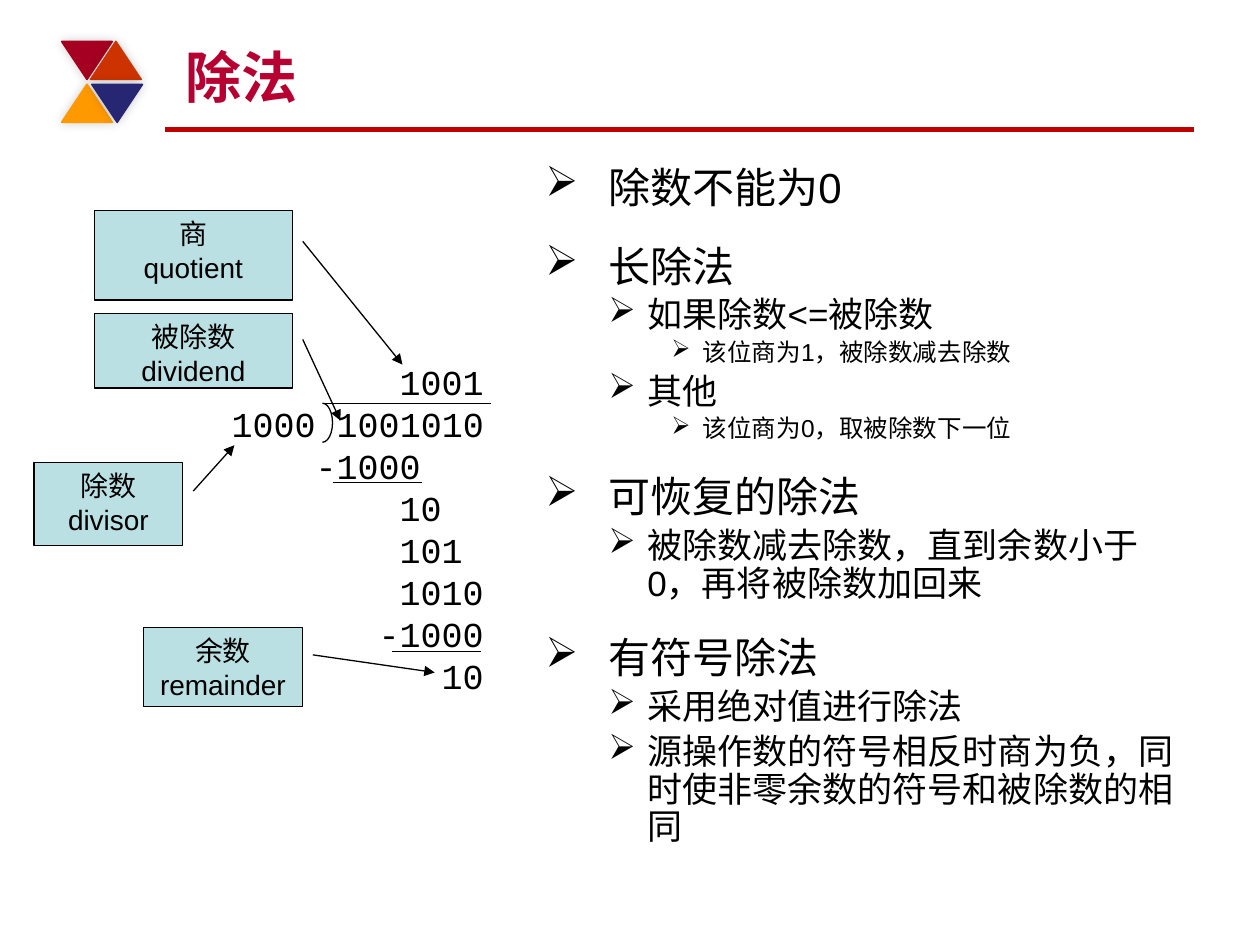
from lxml import etree
from pptx import Presentation
from pptx.dml.color import RGBColor
from pptx.enum.shapes import MSO_CONNECTOR, MSO_SHAPE
from pptx.enum.text import MSO_ANCHOR, MSO_AUTO_SIZE, PP_ALIGN
from pptx.oxml.ns import qn
from pptx.util import Inches, Pt

STRAIGHT = MSO_CONNECTOR.STRAIGHT
TRIANGLE, CALLOUT, ARC = MSO_SHAPE.ISOSCELES_TRIANGLE, MSO_SHAPE.LINE_CALLOUT_1, MSO_SHAPE.ARC
LEFT, CENTER = PP_ALIGN.LEFT, PP_ALIGN.CENTER
TOP, BOTTOM = MSO_ANCHOR.TOP, MSO_ANCHOR.BOTTOM
NO_FIT = MSO_AUTO_SIZE.NONE

COLORS = {"ink": "000000", "title": "B70031", "rule": "C00000", "label": "BBE0E3",
          "crimson": "A50021", "orange": "CC3300", "amber": "FF9900", "navy": "262673"}
COLUMNS, ROWS = 100, 75
DIGIT_WIDTH = 12
LEVELS = [(24, 0.5, -0.5, Pt(40)), (20, 0.81, -0.31, 0.9), (14, 1.25, -0.25, 0.9)]

TRIANGLES = [(4.9, 3.3, 180, "crimson"), (7.2, 3.3, 0, "orange"),
             (4.9, 6.7, 0, "amber"), (7.3, 6.7, 180, "navy")]
POINTS = [
    (0, "除数不能为0"),
    (0, "长除法"),
    (1, "如果除数<=被除数"),
    (2, "该位商为1，被除数减去除数"),
    (1, "其他"),
    (2, "该位商为0，取被除数下一位"),
    (0, "可恢复的除法"),
    (1, "被除数减去除数，直到余数小于0，再将被除数加回来"),
    (0, "有符号除法"),
    (1, "采用绝对值进行除法"),
    (1, "源操作数的符号相反时商为负，同时使非零余数的符号和被除数的相同"),
]
DIVISION = [(8, "1001"), (0, "1000 1001010"), (4, "-1000"), (8, "10"),
            (8, "101"), (8, "1010"), (7, "-1000"), (10, "10")]
LABELS = [
    ((7.5, 16.7, 15.7, 7.1), (0.346, 1.053, 1.724, 1.557), ("商", "quotient")),
    ((7.5, 24.9, 15.7, 5.9), (0.346, 1.053, 1.435, 1.243), ("被除数", "dividend")),
    ((11.4, 49.8, 12.6, 6.3), (0.346, 1.066, 0.568, 1.834), ("余数", "remainder")),
    ((2.7, 36.7, 11.8, 6.6), (0.346, 1.071, -0.207, 1.348), ("除数", "divisor")),
]
WORK_LINES = [(25.6, 39, 32), (26.4, 33.5, 38.3), (31.1, 38.2, 51.7)]


class SlideBuilder:
    """Holds the deck, the current slide and the shared style."""

    def __init__(self):
        self.deck = Presentation()
        self.deck.slide_width, self.deck.slide_height = Inches(10), Inches(7.5)
        self.page = self.deck.slides.add_slide(self.deck.slide_layouts[5])
        self.column = self.deck.slide_width / COLUMNS
        self.row = self.deck.slide_height / ROWS

    def place(self, left, top, width, height):
        return (round(left * self.column), round(top * self.row),
                round(width * self.column), round(height * self.row))

    def color(self, name):
        return RGBColor.from_string(COLORS[name])

    def stroke(self, line, color, width):
        line.color.rgb = self.color(color)
        line.width = Pt(width)

    def add_span(self, para, text, size, color="ink", font="Arial", bold=False):
        span = para.add_run()
        span.text = text
        span.font.name, span.font.size, span.font.bold = font, Pt(size), bold
        span.font.color.rgb = self.color(color)

    def paragraphs(self, frame, items):
        for index, item in enumerate(items):
            yield (frame.add_paragraph() if index else frame.paragraphs[0]), item

    def indent(self, para, margin, hanging=0):
        properties = para._p.get_or_add_pPr()
        properties.set("marL", str(int(margin)))
        properties.set("indent", str(int(hanging)))
        return properties

    def title(self, area, text):
        box = self.page.shapes.title
        box.left, box.top, box.width, box.height = self.place(*area)
        frame = box.text_frame
        frame.auto_size, frame.vertical_anchor = NO_FIT, BOTTOM
        para = frame.paragraphs[0]
        para.alignment = LEFT
        self.add_span(para, text, 32, "title", bold=True)

    def text_frame(self, area):
        frame = self.page.shapes.add_textbox(*self.place(*area)).text_frame
        frame.word_wrap = True
        return frame

    def bullets(self, area, points):
        for para, (level, text) in self.paragraphs(self.text_frame(area), points):
            size, margin, hanging, spacing = LEVELS[level]
            para.level = level
            para.line_spacing = spacing
            if (level, text) != points[0]:
                para.space_before = Pt(size * 0.2)
            properties = self.indent(para, Inches(margin), Inches(hanging))
            etree.SubElement(properties, qn("a:buChar")).set("char", "➢")
            self.add_span(para, text, size)

    def working(self, area, lines):
        for para, (offset, digits) in self.paragraphs(self.text_frame(area), lines):
            self.indent(para, Pt(offset * DIGIT_WIDTH))
            self.add_span(para, digits, 20, font="Courier New")

    def rule(self, start, end, row, color="ink", width=0.75):
        left, top, length, _ = self.place(start, row, end - start, 0)
        line = self.page.shapes.add_connector(STRAIGHT, left, top, left + length, top)
        self.stroke(line.line, color, width)
        etree.SubElement(line._element.spPr, qn("a:effectLst"))

    def shape(self, kind, area, fill=None, line="ink", width=0.75):
        shape = self.page.shapes.add_shape(kind, *self.place(*area))
        shape.shadow.inherit = False
        if fill:
            shape.fill.solid()
            shape.fill.fore_color.rgb = self.color(fill)
        else:
            shape.fill.background()
        self.stroke(shape.line, line, width)
        return shape

    def triangle(self, left, top, rotation, color):
        shape = self.shape(TRIANGLE, (left, top, 4, 3), color, color, 1)
        shape.rotation = rotation
        effects = shape._element.spPr.find(qn("a:effectLst"))
        shadow = etree.SubElement(effects, qn("a:outerShdw"), blurRad=str(int(Pt(6))),
                                  dist="0", dir=str(315 * 60000))
        tint = etree.SubElement(shadow, qn("a:srgbClr"), val=COLORS["ink"])
        etree.SubElement(tint, qn("a:alpha"), val="20000")

    def callout(self, area, pointer, words):
        shape = self.shape(CALLOUT, area, "label")
        for index, value in enumerate(pointer):
            shape.adjustments[index] = value
        outline = shape._element.spPr.find(qn("a:ln"))
        etree.SubElement(outline, qn("a:tailEnd"), type="triangle")
        frame = shape.text_frame
        frame.word_wrap, frame.vertical_anchor = True, TOP
        for para, word in self.paragraphs(frame, words):
            para.alignment = CENTER
            self.add_span(para, word, 16)

    def bracket(self, area):
        arc = self.shape(ARC, area)
        arc.adjustments[0], arc.adjustments[1] = 162, 54


def main():
    builder = SlideBuilder()
    builder.rule(13.1, 94.8, 10.3, "rule", 3)
    for triangle in TRIANGLES:
        builder.triangle(*triangle)
    builder.title((13.7, 2.5, 80, 6.7), "除法")
    builder.bullets((42.3, 10.8, 52.2, 60.4), POINTS)
    builder.working((17.4, 28.1, 23, 27.7), DIVISION)
    for work_line in WORK_LINES:
        builder.rule(*work_line)
    builder.bracket((24.8, 32, 1.6, 3.1))
    for label in LABELS:
        builder.callout(*label)
    builder.deck.save("out.pptx")


if __name__ == "__main__":
    main()
